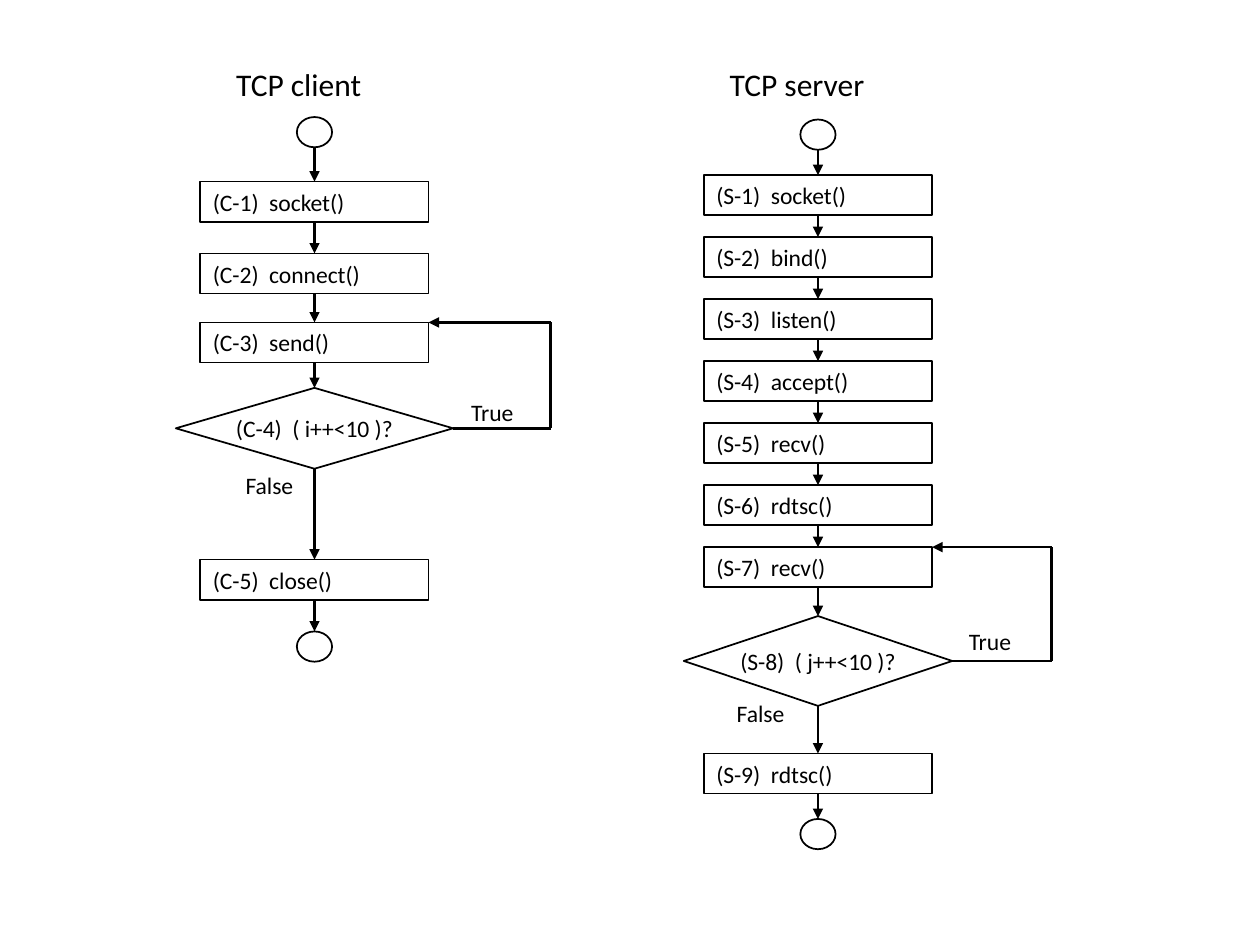
from pptx import Presentation
from pptx.dml.color import RGBColor
from pptx.enum.shapes import MSO_CONNECTOR, MSO_SHAPE
from pptx.enum.text import MSO_ANCHOR, PP_ALIGN
from pptx.oxml.ns import qn
from pptx.util import Cm, Pt
from lxml import etree

RECT, OVAL, RHOMB = MSO_SHAPE.RECTANGLE, MSO_SHAPE.OVAL, MSO_SHAPE.DIAMOND
LINE = MSO_CONNECTOR.STRAIGHT
TOP, MID = MSO_ANCHOR.TOP, MSO_ANCHOR.MIDDLE
LEFT, MID_X = PP_ALIGN.LEFT, PP_ALIGN.CENTER

# Content: tops, widths and places in centimetres
PITCH = 1.25
CALLS = ["socket()", "bind()", "listen()", "accept()", "recv()", "rdtsc()", "recv()"]
FLOWS = [
    dict(title="TCP client", wide=3.66, mark="C", axis=6.34, start=2.36, end=12.73,
         steps=[("socket()", 3.66), ("connect()", 5.11), ("send()", 6.5),
                ("( i++<10 )?", 7.82), ("close()", 11.28)],
         test=(5.59, 1.63), turn=11.1, yes=(9.25, 7.9), no=(4.7, 9.37)),
    dict(title="TCP server", wide=4.06, mark="S", axis=16.49, start=2.41, end=16.51,
         steps=[(call, 3.53 + i * PITCH) for i, call in enumerate(CALLS)]
         + [("( j++<10 )?", 12.42), ("rdtsc()", 15.19)],
         test=(5.41, 1.81), turn=21.2, yes=(19.28, 12.52), no=(14.6, 13.97)),
]
BOX, DOT = (4.6, 0.81), (0.71, 0.61)
THEME = dict(ink=RGBColor(0, 0, 0), paper=RGBColor(255, 255, 255), font="Calibri",
             head=Pt(18), body=Pt(13.5), edge=Pt(1), flow=Pt(1.5))

deck = Presentation()
deck.slide_width, deck.slide_height = Cm(25.4), Cm(19.05)
slide = deck.slides.add_slide(deck.slide_layouts[6])


def write(shape, text, size, anchor=TOP, align=LEFT, wrap=True, pad=0.25):
    frame = shape.text_frame
    form = dict(word_wrap=wrap, vertical_anchor=anchor,
                margin_left=Cm(pad), margin_right=Cm(pad))
    for key, value in form.items():
        setattr(frame, key, value)
    para = frame.paragraphs[0]
    para.alignment = align
    run = para.add_run()
    run.text = text
    for key, value in dict(name=THEME["font"], size=size).items():
        setattr(run.font, key, value)
    run.font.color.rgb = THEME["ink"]


def label(text, x, y, w, h=0.94, size=THEME["body"]):
    write(slide.shapes.add_textbox(Cm(x), Cm(y), Cm(w), Cm(h)), text, size)


def node(kind, axis, y, size):
    w, h = size
    shape = slide.shapes.add_shape(kind, Cm(axis - w / 2), Cm(y), Cm(w), Cm(h))
    shape.shadow.inherit = False
    if kind == OVAL:
        shape.fill.background()
    else:
        shape.fill.solid()
        shape.fill.fore_color.rgb = THEME["paper"]
    shape.line.color.rgb = THEME["ink"]
    shape.line.width = THEME["edge"]
    return shape


def link(x1, y1, x2, y2, arrow=True):
    wire = slide.shapes.add_connector(LINE, Cm(x1), Cm(y1), Cm(x2), Cm(y2))
    wire.line.color.rgb = THEME["ink"]
    wire.line.width = THEME["flow"]
    if arrow:
        etree.SubElement(wire.line._get_or_add_ln(), qn("a:tailEnd"), type="triangle")
    etree.SubElement(wire._element.spPr, qn("a:effectLst"))


for flow in FLOWS:
    axis, turn = flow["axis"], flow["turn"]
    label(flow["title"], axis - flow["wide"] / 2, 1.19, flow["wide"], 1.14, THEME["head"])

    # Nodes down the axis, each with its top and bottom
    node(OVAL, axis, flow["start"], DOT)
    spans = [(flow["start"], flow["start"] + DOT[1])]
    for num, (text, y) in enumerate(flow["steps"], 1):
        test = text.endswith("?")
        size = flow["test"] if test else BOX
        shape = node(RHOMB if test else RECT, axis, y, size)
        look = dict(align=MID_X, wrap=False, pad=0) if test else {}
        write(shape, f"({flow['mark']}-{num})  {text}", THEME["body"], MID, **look)
        if test:
            back, mid = spans[-1][0], y + size[1] / 2
        spans.append((y, y + size[1]))
    node(OVAL, axis, flow["end"], DOT)
    spans.append((flow["end"], flow["end"] + DOT[1]))

    # Arrows between neighbours
    for upper, lower in zip(spans, spans[1:]):
        link(axis, upper[1], axis, lower[0])

    # Loop from the test back to the step above it
    link(axis + flow["test"][0] / 2, mid, turn, mid, False)
    link(turn, mid, turn, back, False)
    link(turn, back, axis + BOX[0] / 2, back)
    label("True", *flow["yes"], 1.7)
    label("False", *flow["no"], 1.97)

deck.save("out.pptx")
